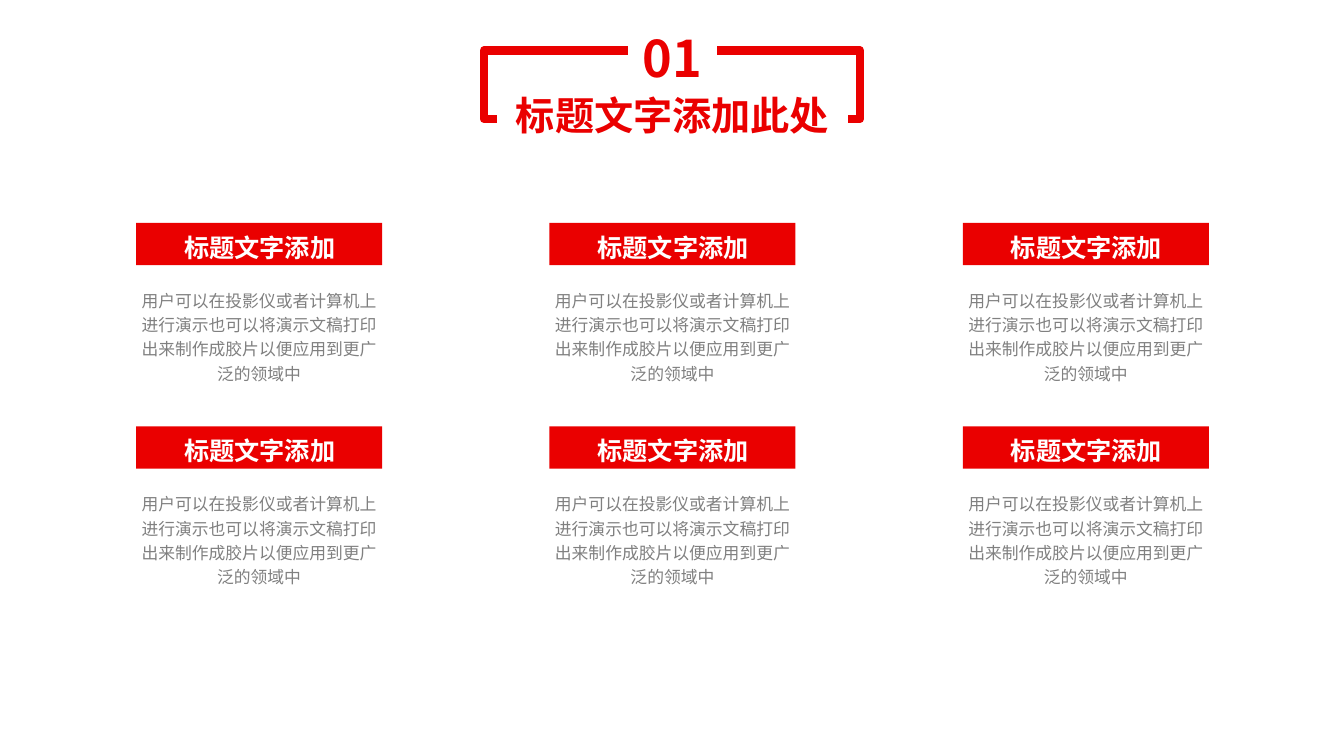
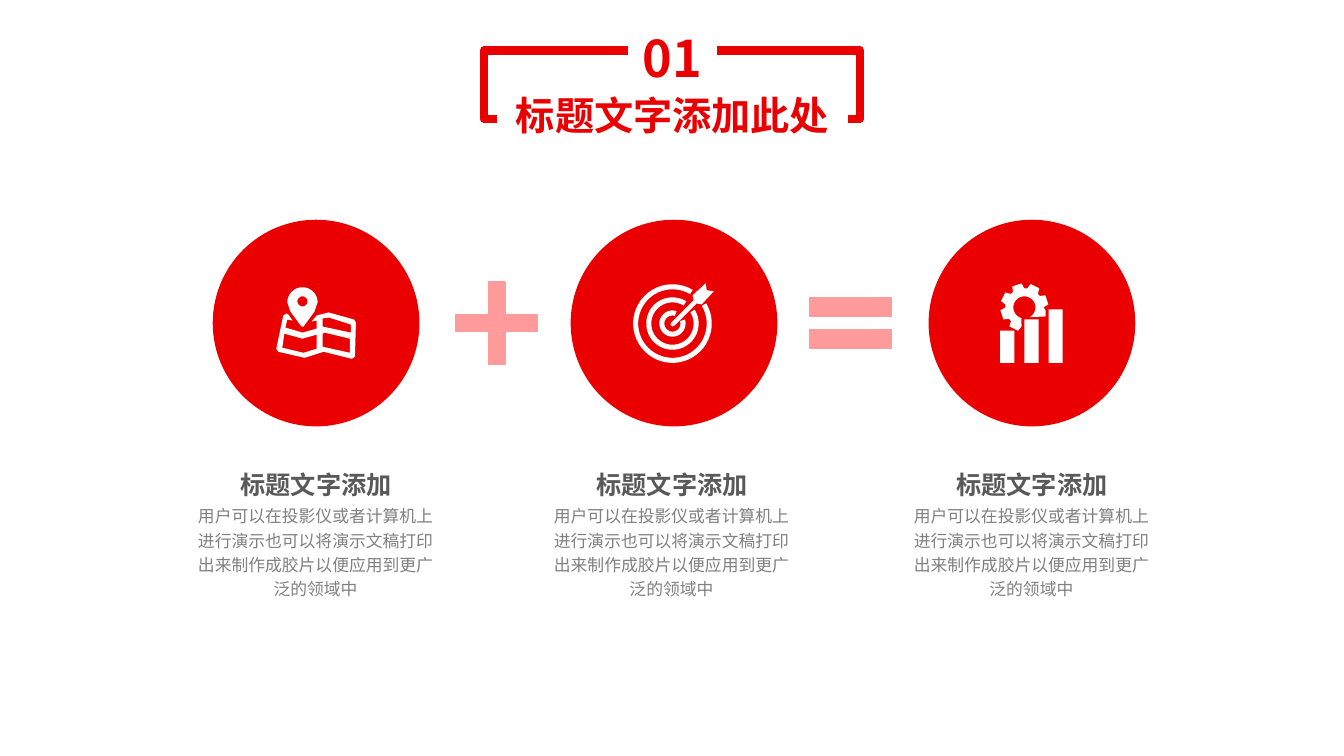
from dataclasses import dataclass
from itertools import product
from math import cos, radians, sin

from lxml.etree import SubElement
from pptx import Presentation
from pptx.dml.color import RGBColor as RGB
from pptx.enum.shapes import MSO_SHAPE as Shape
from pptx.enum.text import MSO_ANCHOR as Anchor, PP_ALIGN as Align
from pptx.oxml.ns import qn
from pptx.util import Inches, Pt


@dataclass(frozen=True)
class Theme:
    red: RGB = RGB.from_string("EA0000")
    pink: RGB = RGB.from_string("FF9B9B")
    white: RGB = RGB.from_string("FFFFFF")
    dark: RGB = RGB.from_string("595959")
    gray: RGB = RGB.from_string("808080")
    font: str = "Noto Sans CJK SC"
    number: int = 36
    title: int = 28
    heading: int = 18
    body: int = 12
    title_leading: float = 1.35
    text_leading: float = 1.45


T = Theme()
NUMBER = "01"
TITLE = "标题文字添加此处"
HEADING = "标题文字添加"
BODY = "用户可以在投影仪或者计算机上进行演示也可以将演示文稿打印出来制作成胶片以便应用到更广泛的领域中"


def write(sp, text, size, color, bold=False, leading=T.text_leading):
    tf = sp.text_frame
    tf.word_wrap = True
    p = tf.paragraphs[0]
    p.alignment = Align.CENTER
    p.line_spacing = Pt(round(size * leading, 1))
    r = p.add_run()
    r.text = text
    r.font.name = T.font
    r.font.size = Pt(size)
    r.font.bold = bold
    r.font.color.rgb = color
    SubElement(r.font._element, qn("a:ea")).set("typeface", T.font)
    return tf


def paint(sp, fill=None, line=None, width=1):
    sp.shadow.inherit = False
    if fill is None:
        sp.fill.background()
    else:
        sp.fill.solid()
        sp.fill.fore_color.rgb = fill
    if line is None:
        sp.line.fill.background()
    else:
        sp.line.color.rgb = line
        sp.line.width = Pt(width)
    return sp


def add_shape(s, kind, x, y, w, h, fill=None, line=None, width=1):
    sp = s.shapes.add_shape(kind, Inches(x), Inches(y), Inches(w), Inches(h))
    return paint(sp, fill, line, width)


def add_text(s, x, y, w, h, *text):
    write(s.shapes.add_textbox(Inches(x), Inches(y), Inches(w), Inches(h)), *text)


def title_frame(s, x=4.8, y=0.5):
    add_shape(s, Shape.RECTANGLE, x, y, 3.73, 0.68, line=T.red, width=6)
    labels = [
        (NUMBER, T.number, 1.43, -0.32, 0.88, 0.71),
        (TITLE, T.title, 0.13, 0.33, 3.48, 0.57),
    ]
    for text, size, dx, dy, w, h in labels:
        sp = add_shape(s, Shape.RECTANGLE, x + dx, y + dy, w, h, T.white)
        tf = write(sp, text, size, T.red, True, T.title_leading)
        tf.margin_left = tf.margin_right = tf.margin_top = tf.margin_bottom = 0
        tf.vertical_anchor = Anchor.MIDDLE


def caption(s, x, y, body_gap, color):
    add_text(s, x, y + body_gap, 2.68, 1.07, BODY, T.body, T.gray)
    add_text(s, x + 0.12, y, 2.45, 0.46, HEADING, T.heading, color, True)


def banner_card(s, x, y):
    add_shape(s, Shape.RECTANGLE, x, y, 2.44, 0.42, T.red)
    caption(s, x - 0.12, y - 0.02, 0.6, T.white)


def arc(cx, cy, radius, start, end, steps=48):
    angles = [radians(start + (end - start) * i / steps) for i in range(steps + 1)]
    return [(cx + radius * cos(a), cy - radius * sin(a)) for a in angles]


def rect(x, y, w, h):
    return [(x, y), (x + w, y), (x + w, y + h), (x, y + h)]


def map_contours():
    sheet = [
        (0.52, 0.25), (0.77, 0.32), (0.79, 0.35), (0.78, 0.69), (0.75, 0.71),
        (0.47, 0.64), (0.28, 0.7), (0.02, 0.64), (0, 0.61), (0.07, 0.28),
        (0.1, 0.26), (0.12, 0.27), (0.16, 0.33), (0.11, 0.32), (0.09, 0.4),
        (0.26, 0.45), (0.4, 0.41), (0.4, 0.33), (0.35, 0.34), (0.4, 0.28),
    ]
    windows = [
        [(0.08, 0.46), (0.06, 0.6), (0.27, 0.65), (0.4, 0.61), (0.4, 0.47), (0.26, 0.51)],
        [(0.48, 0.45), (0.46, 0.46), (0.46, 0.59), (0.73, 0.65), (0.73, 0.51)],
        [(0.52, 0.3), (0.46, 0.31), (0.46, 0.39), (0.74, 0.45), (0.74, 0.37)],
    ]
    tip = [(0.14, 0.24), (0.25, 0.39), (0.27, 0.39), (0.38, 0.24)]
    pin = arc(0.26, 0.15, 0.15, 0, 180) + tip
    return [sheet, *windows, pin, arc(0.26, 0.14, 0.05, 0, 360)]


def target_contours():
    cx, cy = 0.38, 0.4
    rings = [(0.39, 0.34, 14), (0.26, 0.21, 13), (0.13, 0.08, 27)]
    bands = [
        arc(cx, cy, outer, 45 + gap, 405 - gap) + arc(cx, cy, inner, 405 - gap, 45 + gap)
        for outer, inner, gap in rings
    ]
    arrow = [
        (0.71, 0), (0.72, 0.07), (0.79, 0.08), (0.67, 0.21), (0.62, 0.2), (0.4, 0.42),
        (0.38, 0.43), (0.36, 0.41), (0.37, 0.39), (0.59, 0.17), (0.58, 0.12),
    ]
    return [*bands, arrow]


def gear_chart_contours():
    cx, cy = 0.24, 0.24
    bars = [rect(0.24 * i, top, 0.14, 0.79 - top) for i, top in enumerate([0.47, 0.36, 0.26])]
    gear = [(0.45, 0.33), (0.45, 0.27)]
    for tooth in range(6):
        mid = 18.5 + 45 * tooth
        for radius, turn in [(0.19, -18), (0.24, -11.5), (0.24, 11.5), (0.19, 18)]:
            gear += arc(cx, cy, radius, mid + turn, mid + turn, 1)[:1]
    return [*bars, gear + arc(cx, cy, 0.11, 254, -62)]


def icon(s, x, y, contours):
    outlines = [[(Inches(x + px), Inches(y + py)) for px, py in c] for c in contours]
    builder = s.shapes.build_freeform(*outlines[0][0])
    builder.add_line_segments(outlines[0][1:])
    for outline in outlines[1:]:
        builder.move_to(*outline[0])
        builder.add_line_segments(outline[1:])
    paint(builder.convert_to_shape(), T.white)


def operator(s, kind, x, y, *adjustments):
    sp = add_shape(s, kind, x, y, 1.11, 1.11, T.pink, T.pink)
    for i, value in enumerate(adjustments):
        sp.adjustments[i] = value


def icon_circle(s, x, y, dx, dy, contours):
    add_shape(s, Shape.OVAL, x, y, 2.05, 2.05, T.red)
    icon(s, x + dx, y + dy, contours)


def cards_slide(s):
    for row, col in product(range(2), range(3)):
        banner_card(s, 1.35 + 4.1 * col, 2.21 + 2.02 * row)
    title_frame(s)


def equation_slide(s):
    icons = [
        (0.63, 0.67, map_contours()),
        (0.63, 0.63, target_contours()),
        (0.71, 0.63, gear_chart_contours()),
    ]
    for i, (dx, dy, contours) in enumerate(icons):
        icon_circle(s, 2.11 + 3.55 * i, 2.18, dx, dy, contours)
    operator(s, Shape.MATH_PLUS, 4.37, 2.65, 0.149)
    operator(s, Shape.MATH_EQUAL, 7.88, 2.65, 0.164, 0.118)
    for x in (1.79, 5.32, 8.89):
        caption(s, x, 4.54, 0.39, T.dark)
    title_frame(s)


def main():
    prs = Presentation()
    prs.slide_width, prs.slide_height = Inches(13.33), Inches(7.5)
    for build in (cards_slide, equation_slide):
        build(prs.slides.add_slide(prs.slide_layouts[6]))
    prs.save("out.pptx")


if __name__ == "__main__":
    main()
